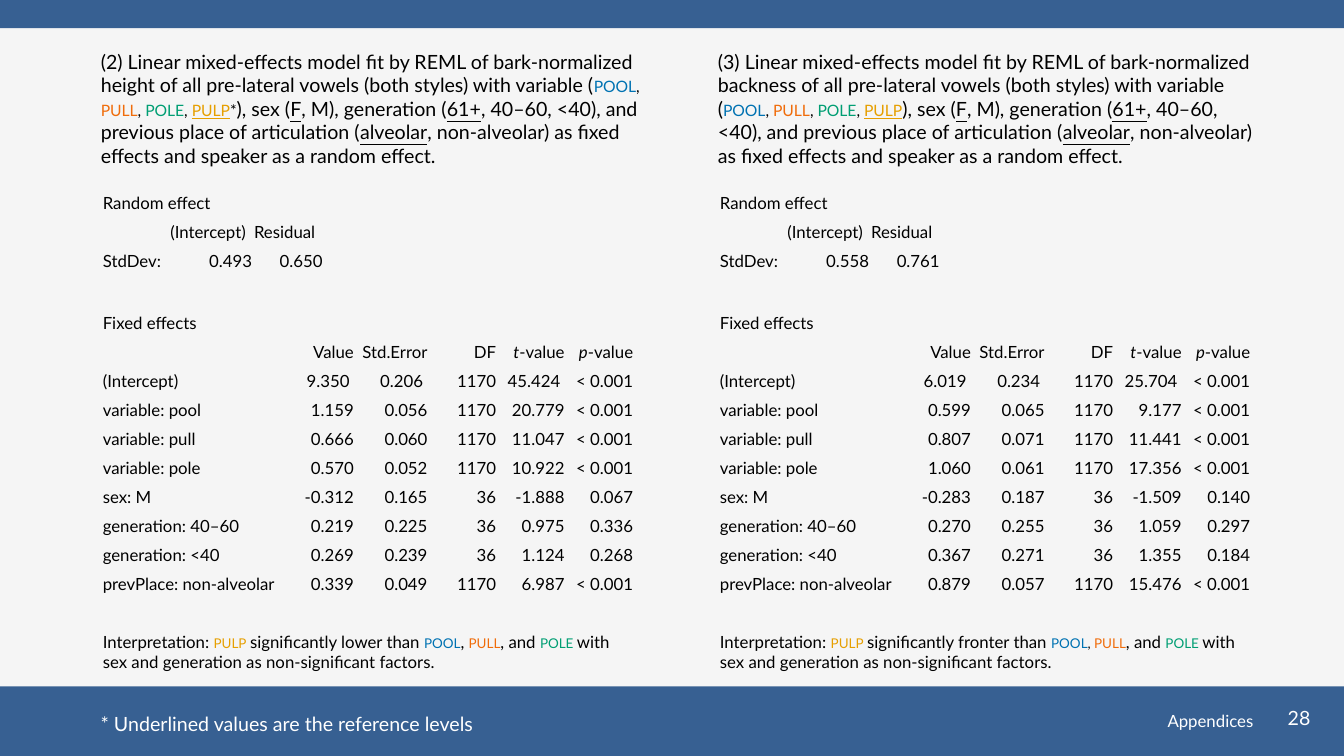
import pptx
import pptx.dml.color
import pptx.enum.shapes
import pptx.enum.text
import pptx.oxml.ns
import pptx.util
from lxml import etree

Inches, Pt = pptx.util.Inches, pptx.util.Pt
ALIGN, ANCHOR = pptx.enum.text.PP_ALIGN, pptx.enum.text.MSO_ANCHOR

BLUE, PAPER, WHITE, BLACK = "376092", "F5F5F5", "FFFFFF", "000000"

# Run styles: vowel classes are set in coloured small capitals
STYLES = {
    "pool": {"color": "0072B2", "small": True},
    "pull": {"color": "F06C0A", "small": True},
    "pole": {"color": "009E73", "small": True},
    "pulp": {"color": "E69F00", "small": True},
    "pulp reference": {"color": "E69F00", "small": True, "underline": True},
    "small": {"small": True},
    "reference": {"underline": True},
    "italic": {"italic": True},
}

VOWELS = [("pool", "pool"), (", ", "small"), ("pull", "pull"), (", ", "small"),
          ("pole", "pole"), (", ", "small"), ("pulp", "pulp reference")]
FACTORS = ["), sex (", ("F", "reference"), ", M), generation (", ("61+", "reference"),
           ", 40–60, <40), and previous place of articulation (", ("alveolar", "reference"),
           ", non-alveolar) as fixed effects and speaker as a random effect."]
INTRO = ("({}) Linear mixed-effects model fit by REML of bark-normalized {} "
         "of all pre-lateral vowels (both styles) with variable (")

HEADER = ["", "Value", "Std.Error", "DF",
          [("t", "italic"), "-value"], [("p", "italic"), "-value"]]
EFFECTS = ["(Intercept)", "variable: pool", "variable: pull", "variable: pole", "sex: M",
           "generation: 40–60", "generation: <40", "prevPlace: non-alveolar"]

MODELS = [
    {
        "left": 0.9, "width": 5.56, "number": 2, "measure": "height",
        "mark": [("*", "small")], "finding": "lower", "separator": ", ",
        "deviations": ["0.493", "0.650"],
        "estimates": [
            (" 9.350 ", " 0.206 ", "1170", " 45.424 ", "< 0.001"),
            ("1.159", "0.056", "1170", "20.779", "< 0.001"),
            ("0.666", "0.060", "1170", "11.047", "< 0.001"),
            ("0.570", "0.052", "1170", "10.922", "< 0.001"),
            ("-0.312", "0.165", "36", "-1.888", "0.067"),
            ("0.219", "0.225", "36", "0.975", "0.336"),
            ("0.269", "0.239", "36", "1.124", "0.268"),
            ("0.339", "0.049", "1170", "6.987", "< 0.001"),
        ],
    },
    {
        "left": 7.02, "width": 5.61, "number": 3, "measure": "backness",
        "mark": [], "finding": "fronter", "separator": (", ", "small"),
        "deviations": ["0.558", "0.761"],
        "estimates": [
            (" 6.019 ", " 0.234 ", "1170", " 25.704 ", "< 0.001"),
            ("0.599", "0.065", "1170", "9.177", "< 0.001"),
            ("0.807", "0.071", "1170", "11.441", "< 0.001"),
            ("1.060", "0.061", "1170", "17.356", "< 0.001"),
            ("-0.283", "0.187", "36", "-1.509", "0.140"),
            ("0.270", "0.255", "36", "1.059", "0.297"),
            ("0.367", "0.271", "36", "1.355", "0.184"),
            ("0.879", "0.057", "1170", "15.476", "< 0.001"),
        ],
    },
]

# left, top, width, height, text, size, alignment, anchor
FOOTER = [
    (12.53, 6.95, 0.71, 0.4, "28", 14, ALIGN.CENTER, ANCHOR.TOP),
    (8.03, 6.95, 4.5, 0.4, "Appendices", 12, ALIGN.RIGHT, ANCHOR.MIDDLE),
    (0.9, 7.01, 4, 0.34, "* Underlined values are the reference levels", 14,
     ALIGN.LEFT, ANCHOR.TOP),
]
BANDS = [(6.81, 0.69), (0, 0.28)]  # top, height

SLIDE_WIDTH, SLIDE_HEIGHT = 13.33, 7.5
TABLE_INDENT = 0.11
ROW_HEIGHT = Pt(20.7)
RANDOM_COLUMNS = [0.67, 0.83, 0.7]
FIXED_COLUMNS = [1.93, 0.58, 0.73, 0.68, 0.68, 0.68]
NO_GRID_STYLE = "{2D5ABB26-0587-4C30-8999-92F81FD0307C}"
CELL_FORMAT = {"margin_left": Inches(0.01), "margin_right": Inches(0.01),
               "margin_top": Inches(0.01), "margin_bottom": 0,
               "vertical_anchor": ANCHOR.BOTTOM}


def rgb(hex_string):
    return pptx.dml.color.RGBColor.from_string(hex_string)


def write(paragraph, content, size, color=BLACK):
    """Fill a paragraph from a string or a list of strings and (text, style) pairs."""
    for piece in [content] if isinstance(content, str) else content:
        text, style = (piece, None) if isinstance(piece, str) else piece
        look = STYLES.get(style, {})
        run = paragraph.add_run()
        run.text = text
        font = {"name": "Lato", "size": Pt(size), "italic": look.get("italic"),
                "underline": look.get("underline")}
        for key, value in font.items():
            setattr(run.font, key, value)
        run.font.color.rgb = rgb(look.get("color", color))
        if look.get("small"):
            run.font._element.set("cap", "small")


def place(shape, left, top, width, height):
    for key, value in zip(("left", "top", "width", "height"), (left, top, width, height)):
        setattr(shape, key, Inches(value))


def add_effects_table(slide, left, top, columns, rows, merged):
    """Add a plain table; the rows listed in merged span every column."""
    table = slide.shapes.add_table(len(rows), len(columns), Inches(left), Inches(top),
                                   Inches(sum(columns)), ROW_HEIGHT * len(rows)).table
    table.first_row = table.horz_banding = False
    table._tbl.tblPr.find(pptx.oxml.ns.qn("a:tableStyleId")).text = NO_GRID_STYLE
    for column, width in zip(table.columns, columns):
        column.width = Inches(width)
    for r, row in enumerate(rows):
        table.rows[r].height = ROW_HEIGHT
        for c in range(len(columns)):
            cell = table.cell(r, c)
            cell.fill.background()
            for key, value in CELL_FORMAT.items():
                setattr(cell, key, value)
            paragraph = cell.text_frame.paragraphs[0]
            if c < len(row) and row[c]:
                is_number = c > 0 and row[c] not in ("(Intercept)", "Residual")
                paragraph.alignment = ALIGN.RIGHT if is_number else ALIGN.LEFT
                write(paragraph, row[c], 12)
            else:
                etree.SubElement(paragraph._p, pptx.oxml.ns.qn("a:endParaRPr"), sz="1200")
    for r in merged:
        table.cell(r, 0).merge(table.cell(r, len(columns) - 1))
    return table


def add_model(slide, description, model):
    place(description, model["left"], 0.44, model["width"], 1.28)
    frame = description.text_frame
    frame.auto_size = pptx.enum.text.MSO_AUTO_SIZE.NONE
    paragraph = frame.paragraphs[0]
    paragraph.space_before = 0
    properties = paragraph._p.get_or_add_pPr()
    for key in ("marL", "indent"):
        properties.set(key, "0")
    etree.SubElement(properties, pptx.oxml.ns.qn("a:buNone"))
    intro = INTRO.format(model["number"], model["measure"])
    write(paragraph, [intro, *VOWELS, *model["mark"], *FACTORS], 14)

    left = model["left"] + TABLE_INDENT
    random_rows = [["Random effect"], ["", "(Intercept)", "Residual"],
                   ["StdDev:", *model["deviations"]]]
    add_effects_table(slide, left, 1.83, RANDOM_COLUMNS, random_rows, [0])

    interpretation = ["Interpretation: ", ("pulp ", "pulp"),
                      f"significantly {model['finding']} than ", ("pool", "pool"),
                      model["separator"], ("pull", "pull"), ", and ", ("pole ", "pole"),
                      "with sex and generation as non-significant factors."]
    estimates = [[effect, *values] for effect, values in zip(EFFECTS, model["estimates"])]
    fixed_rows = [["Fixed effects"], HEADER, *estimates, [interpretation]]
    last = len(fixed_rows) - 1
    table = add_effects_table(slide, left, 3.02, FIXED_COLUMNS, fixed_rows, [0, last])
    table.rows[last].height = Inches(0.77)


def main():
    deck = pptx.Presentation()
    deck.slide_width, deck.slide_height = Inches(SLIDE_WIDTH), Inches(SLIDE_HEIGHT)
    slide = deck.slides.add_slide(deck.slide_layouts.get_by_name("Two Content"))
    slide.background.fill.solid()
    slide.background.fill.fore_color.rgb = rgb(PAPER)
    title, *descriptions = slide.placeholders
    title._element.getparent().remove(title._element)

    for top, height in BANDS:
        band = slide.shapes.add_shape(pptx.enum.shapes.MSO_SHAPE.RECTANGLE, 0, Inches(top),
                                      Inches(SLIDE_WIDTH), Inches(height))
        band.shadow.inherit = False
        band.fill.solid()
        band.fill.fore_color.rgb = rgb(BLUE)
        band.line.fill.background()

    for description, model in zip(descriptions, MODELS):
        add_model(slide, description, model)

    for *box, text, size, alignment, anchor in FOOTER:
        frame = slide.shapes.add_textbox(*map(Inches, box)).text_frame
        frame.word_wrap = True
        frame.vertical_anchor = anchor
        frame.paragraphs[0].alignment = alignment
        write(frame.paragraphs[0], text, size, WHITE)

    deck.save("out.pptx")


if __name__ == "__main__":
    main()
